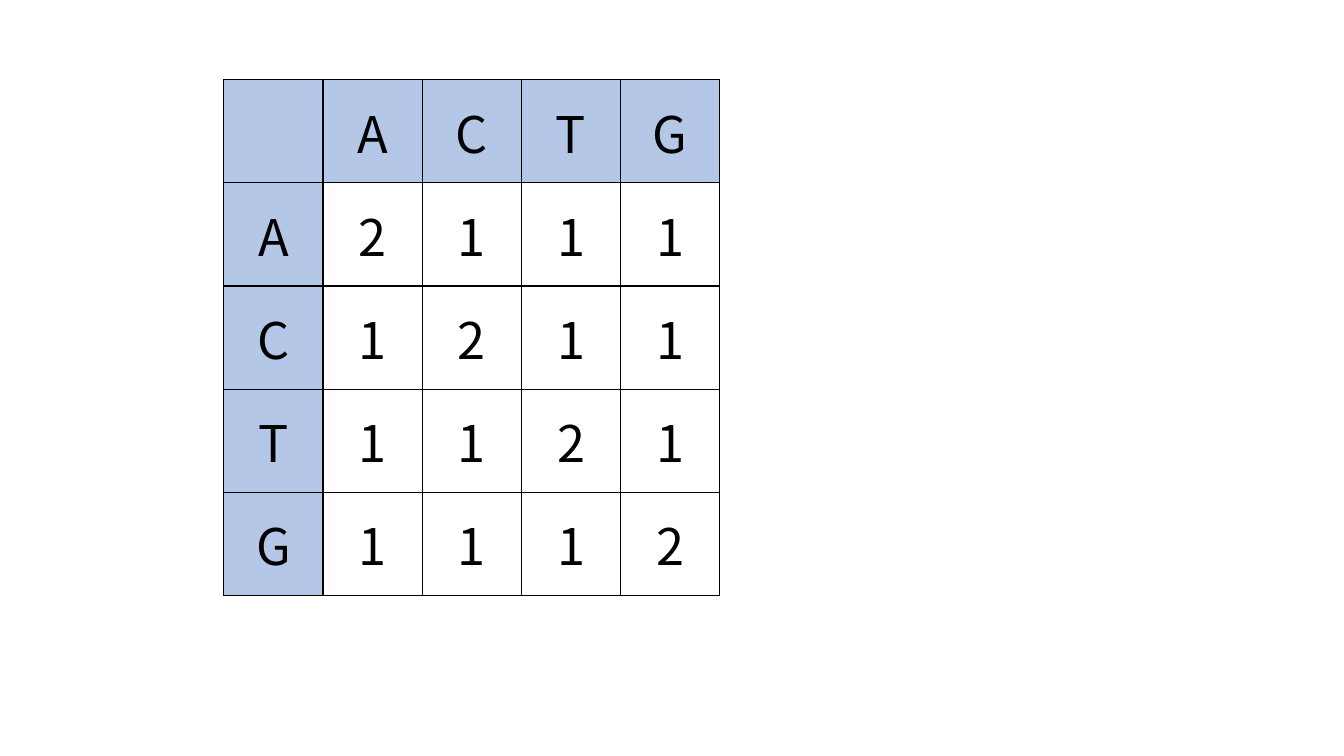
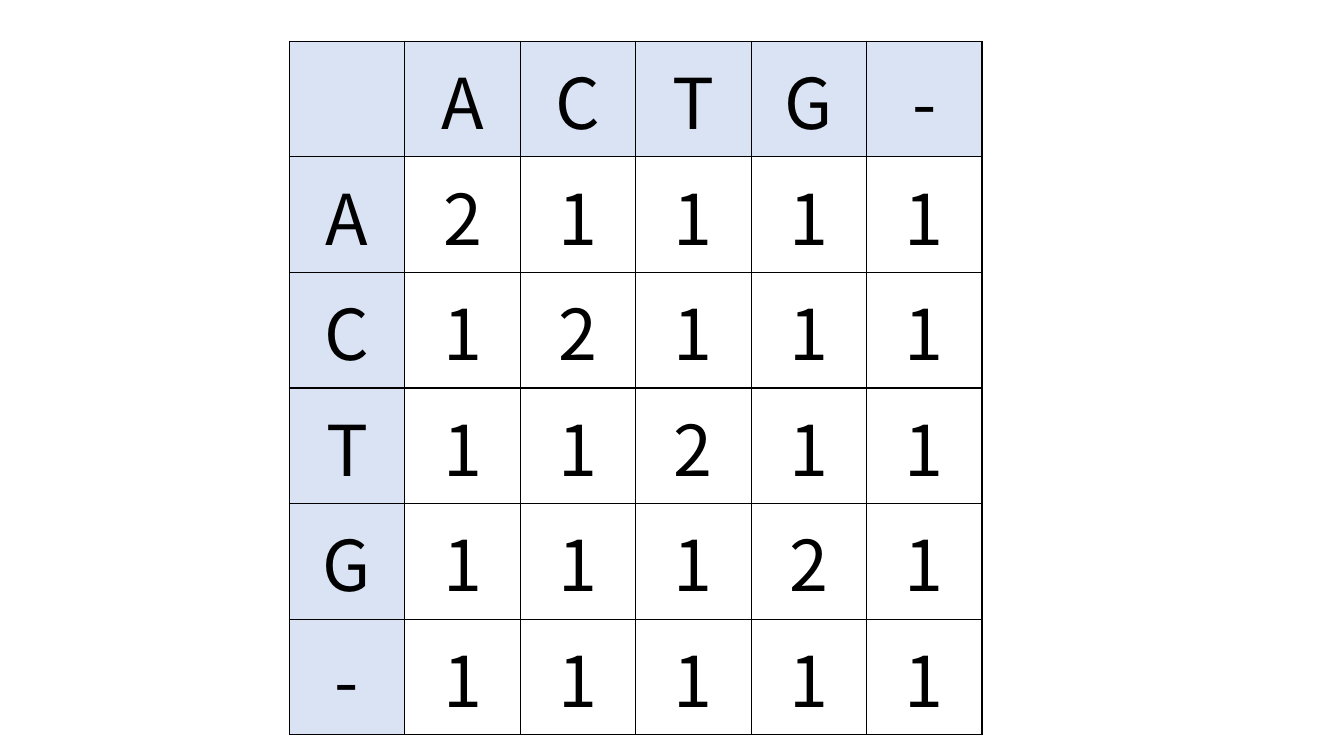
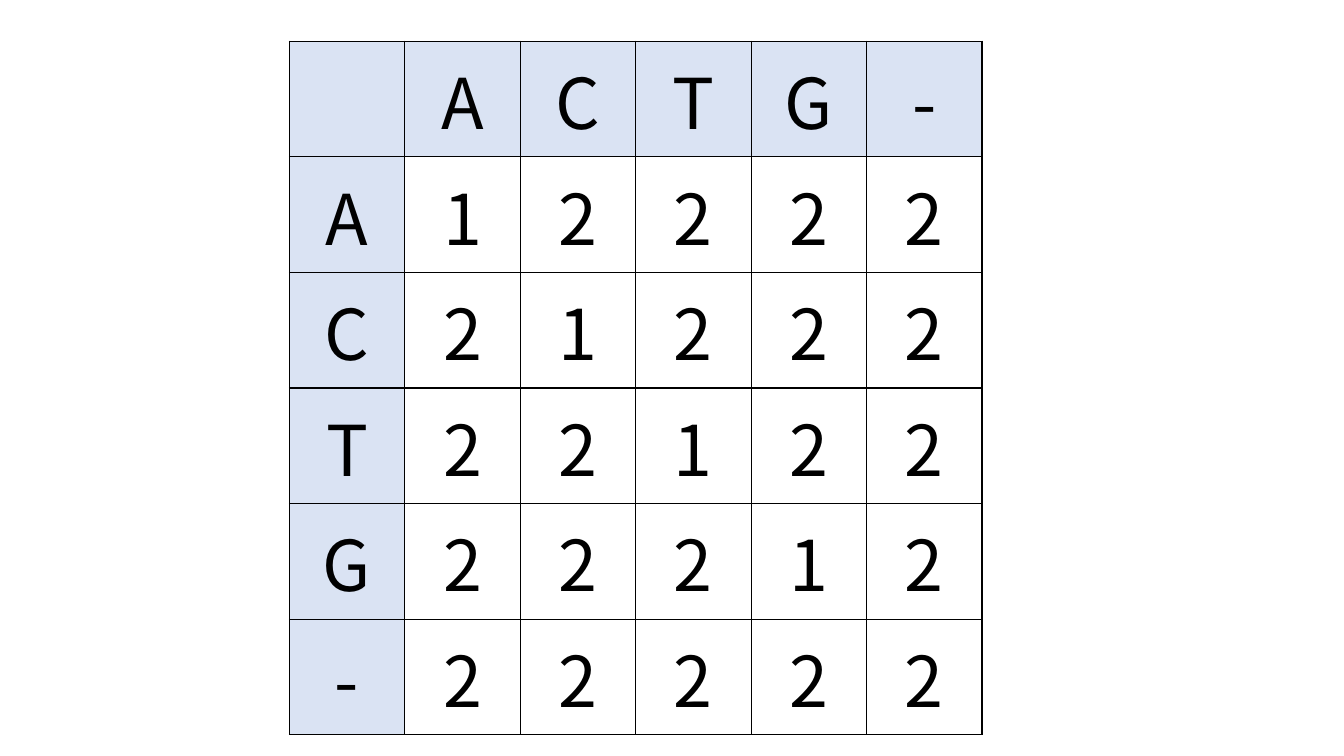
from dataclasses import dataclass

from lxml.etree import SubElement
from pptx import Presentation
from pptx.dml.color import RGBColor
from pptx.enum.text import MSO_ANCHOR as Anchor, PP_ALIGN as Align
from pptx.oxml.ns import qn
from pptx.slide import Slide
from pptx.table import _Cell as Cell
from pptx.util import Inches, Pt

FONT = "Noto Sans CJK JP"
INK = "000000"
BORDER_WIDTH = Pt(1)
GAP = "-"


@dataclass(frozen=True)
class Frame:
    """Place and format shared by score tables of one size, in inches and points."""

    left: float
    top: float
    width: float
    height: float
    size: float
    header_fill: str
    inset_x: float
    inset_y: float


@dataclass(frozen=True)
class ScoreMatrix:
    """Symbols to compare, with the score of a match and of any other pair."""

    symbols: str
    match: int
    other: int
    frame: Frame

    def score(self, first: str, second: str) -> int:
        """Return the score of a pair; two gaps do not count as a match."""
        return self.match if first == second != GAP else self.other

    def rows(self) -> list[list[str]]:
        """Return the cell texts, with the symbols as header row and column."""
        header = ["", *self.symbols]
        body = [
            [first, *(str(self.score(first, second)) for second in self.symbols)]
            for first in self.symbols
        ]
        return [header, *body]


SMALL = Frame(2.22, 0.79, 4.92, 5.12, 36, "B4C7E7", 0.1, 0.05)
LARGE = Frame(2.87, 0.41, 6.87, 6.86, 50, "DAE3F3", 0.14, 0.07)

MATRICES = [
    ScoreMatrix("ACTG", match=2, other=1, frame=SMALL),
    ScoreMatrix("ACTG-", match=2, other=1, frame=LARGE),
    ScoreMatrix("ACTG-", match=1, other=2, frame=LARGE),
]


def color(code: str) -> RGBColor:
    """Turn a hex string into a colour."""
    return RGBColor.from_string(code)


def add_borders(cell: Cell) -> None:
    """Draw a solid line on all four sides of a cell that has no fill yet."""
    properties = cell._tc.get_or_add_tcPr()
    for side in ("a:lnL", "a:lnR", "a:lnT", "a:lnB"):
        line = SubElement(properties, qn(side), w=str(BORDER_WIDTH))
        fill = SubElement(line, qn("a:solidFill"))
        SubElement(fill, qn("a:srgbClr"), val=INK)


def write_text(
    cell: Cell, text: str, *, size: float, inset_x: float, inset_y: float
) -> None:
    """Write centred text into a cell."""
    cell.vertical_anchor = Anchor.MIDDLE
    cell.margin_left = cell.margin_right = Inches(inset_x)
    cell.margin_top = cell.margin_bottom = Inches(inset_y)
    para = cell.text_frame.paragraphs[0]
    para.alignment = Align.CENTER
    span = para.add_run()
    span.text = text
    span.font.name = FONT
    span.font.size = Pt(size)
    span.font.color.rgb = color(INK)


def draw_matrix(page: Slide, matrix: ScoreMatrix) -> None:
    """Add a score matrix to a slide as a table with equal cells."""
    frame = matrix.frame
    rows = matrix.rows()
    count = len(rows)
    table = page.shapes.add_table(
        count, count,
        Inches(frame.left), Inches(frame.top),
        Inches(frame.width), Inches(frame.height),
    ).table
    table.first_row = table.horz_banding = False
    for row_index, row in enumerate(rows):
        for column_index, text in enumerate(row):
            cell = table.cell(row_index, column_index)
            add_borders(cell)
            if row_index == 0 or column_index == 0:
                cell.fill.solid()
                cell.fill.fore_color.rgb = color(frame.header_fill)
            else:
                cell.fill.background()
            if text:
                write_text(
                    cell, text, size=frame.size,
                    inset_x=frame.inset_x, inset_y=frame.inset_y,
                )


def main() -> None:
    """Build one slide for each score matrix and save the deck."""
    deck = Presentation()
    deck.slide_width, deck.slide_height = Inches(13.33), Inches(7.5)
    blank = deck.slide_layouts.get_by_name("Blank")
    for matrix in MATRICES:
        draw_matrix(deck.slides.add_slide(blank), matrix)
    deck.save("out.pptx")


main()
